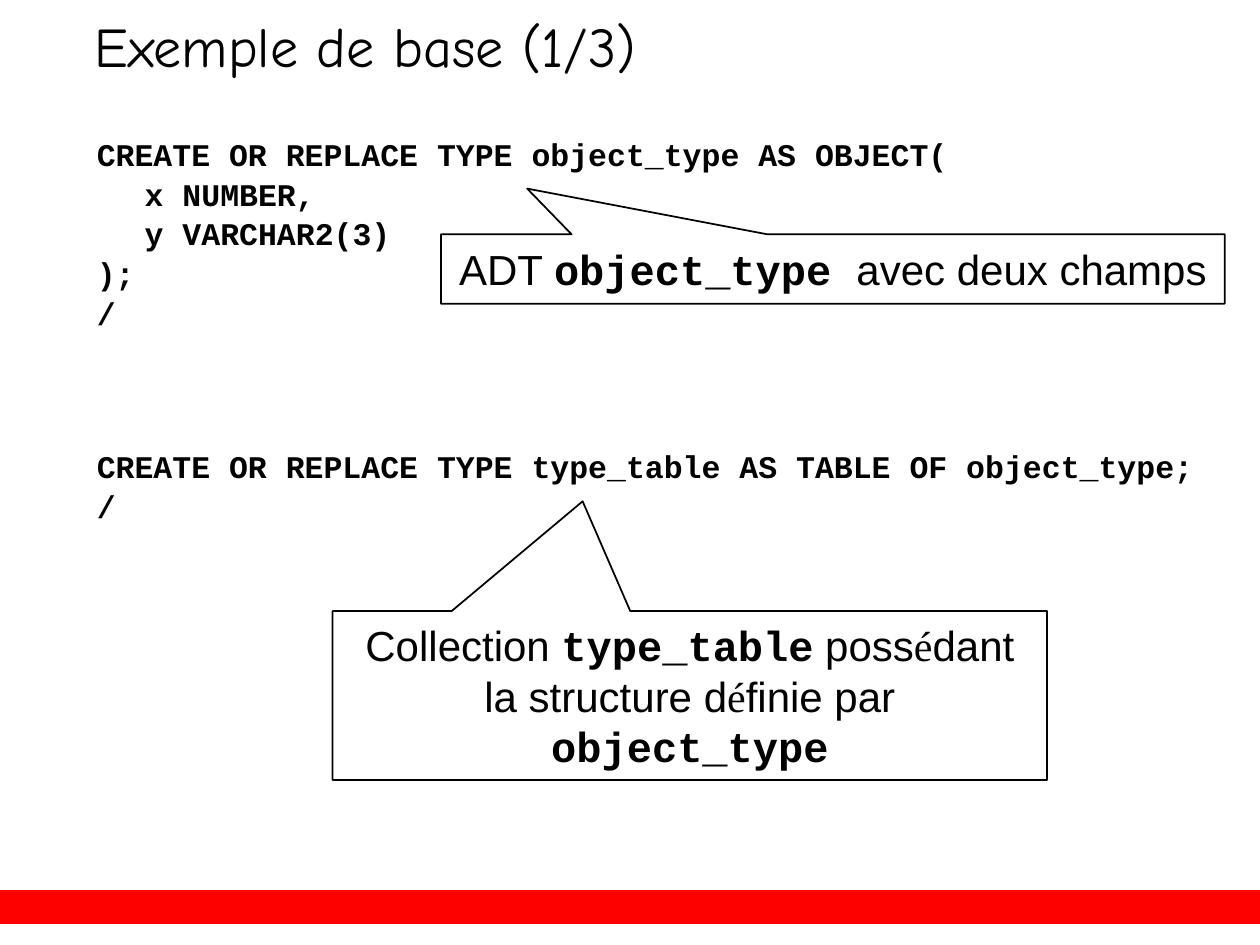
from dataclasses import dataclass

from pptx import Presentation
from pptx.dml.color import RGBColor
from pptx.enum import shapes, text
from pptx.util import Inches, Pt


@dataclass(frozen=True)
class Theme:
    ink: RGBColor = RGBColor(0, 0, 0)
    paper: RGBColor = RGBColor(255, 255, 255)
    accent: RGBColor = RGBColor(0xFD, 0, 0)
    heading_font: str = "Comic Neue"
    code_font: str = "Courier New"
    label_font: str = "Arial"
    accent_font: str = "Times New Roman"
    heading_size: float = 32
    code_size: float = 18
    label_size: float = 24
    code_gap: float = 5.4
    statement_gap: float = 70.5


def write(paragraph, content, *, font, size, color, bold=False):
    run = paragraph.add_run()
    run.text = content
    run.font.name = font
    run.font.size = Pt(size)
    run.font.bold = bold
    run.font.color.rgb = color


class SlideBuilder:
    def __init__(self, slide, theme):
        self.slide = slide
        self.theme = theme

    def title(self, content, left, top, width, height):
        heading = self.slide.shapes.title
        heading.left, heading.top = Inches(left), Inches(top)
        heading.width, heading.height = Inches(width), Inches(height)
        frame = heading.text_frame
        frame.margin_left = frame.margin_right = 0
        frame.margin_top = frame.margin_bottom = 0
        frame.vertical_anchor = text.MSO_ANCHOR.TOP
        paragraph = frame.paragraphs[0]
        paragraph.alignment = text.PP_ALIGN.LEFT
        paragraph.line_spacing = 0.85
        write(paragraph, content, font=self.theme.heading_font,
              size=self.theme.heading_size, color=self.theme.ink)

    def block(self, kind, left, top, width, height, fill, line):
        shape = self.slide.shapes.add_shape(
            kind, Inches(left), Inches(top), Inches(width), Inches(height))
        shape.shadow.inherit = False
        shape.fill.solid()
        shape.fill.fore_color.rgb = fill
        shape.line.color.rgb = line
        shape.line.width = Pt(1)
        return shape

    def code(self, statements, left, top, width, height):
        listing = self.slide.shapes.add_textbox(
            Inches(left), Inches(top), Inches(width), Inches(height))
        frame = listing.text_frame
        frame.word_wrap = True
        paragraph = frame.paragraphs[0]
        for number, statement in enumerate(statements):
            for row, (content, level) in enumerate(statement):
                if number or row:
                    paragraph = frame.add_paragraph()
                    paragraph.space_before = Pt(
                        self.theme.code_gap if row else self.theme.statement_gap)
                paragraph.line_spacing = 0.8
                properties = paragraph._p.get_or_add_pPr()
                properties.set("marL", str(Inches(0.38 * level)))
                properties.set("indent", "0")
                write(paragraph, content, font=self.theme.code_font,
                      size=self.theme.code_size, color=self.theme.ink, bold=True)

    def callout(self, pieces, left, top, width, height, tip):
        bubble = self.block(shapes.MSO_SHAPE.RECTANGULAR_CALLOUT, left, top,
                            width, height, self.theme.paper, self.theme.ink)
        bubble.adjustments[0], bubble.adjustments[1] = tip
        frame = bubble.text_frame
        frame.word_wrap = True
        frame.vertical_anchor = text.MSO_ANCHOR.MIDDLE
        paragraph = frame.paragraphs[0]
        paragraph.alignment = text.PP_ALIGN.CENTER
        for content, font in pieces:
            write(paragraph, content, font=font, size=self.theme.label_size,
                  color=self.theme.ink, bold=font == self.theme.code_font)


def main():
    deck = Presentation()
    deck.slide_width, deck.slide_height = Inches(10), Inches(7.5)
    theme = Theme()
    builder = SlideBuilder(deck.slides.add_slide(deck.slide_layouts[5]), theme)
    label, code, accent = theme.label_font, theme.code_font, theme.accent_font

    builder.block(shapes.MSO_SHAPE.RECTANGLE, 0, 7.07, 10, 0.26,
                  theme.accent, theme.accent)
    builder.title("Exemple de base (1/3)", 0.75, 0.17, 8.17, 0.58)
    object_statement = [
        ("CREATE OR REPLACE TYPE object_type AS OBJECT(", 0),
        ("x NUMBER,", 1),
        ("y VARCHAR2(3)", 1),
        (");", 0),
        ("/", 0),
    ]
    table_statement = [
        ("CREATE OR REPLACE TYPE type_table AS TABLE OF object_type;", 0),
        ("/", 0),
    ]
    builder.code([object_statement, table_statement], 0.67, 1.08, 9.06, 4.46)
    builder.callout(
        [("ADT ", label), ("object_type ", code), ("avec deux champs", label)],
        3.5, 1.86, 6.22, 0.55, tip=(-0.39, -1.16))
    builder.callout(
        [("Collection ", label), ("type_table", code), (" poss", label),
         ("é", accent), ("dant la structure d", label), ("é", accent),
         ("finie par ", label), ("object_type", code)],
        2.64, 4.85, 5.67, 1.34, tip=(-0.15, -1.15))
    deck.save("out.pptx")


if __name__ == "__main__":
    main()
